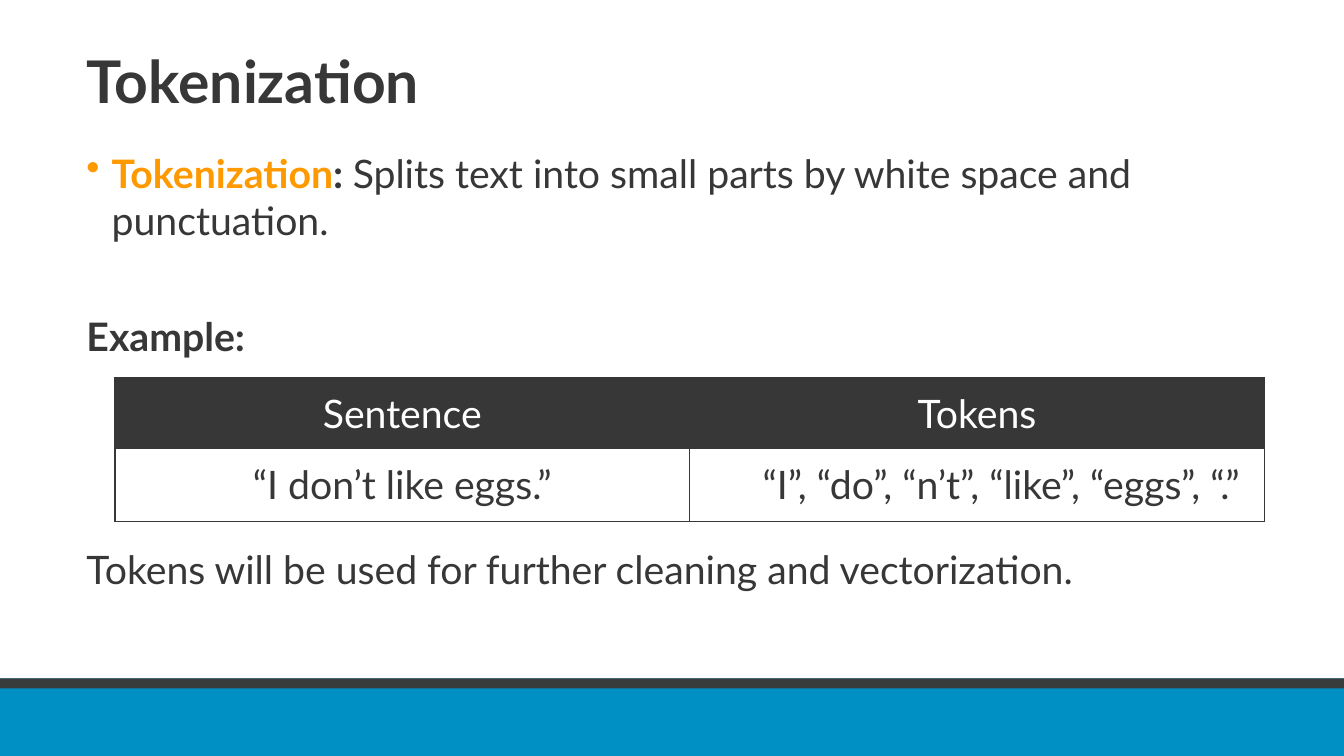
"""Build the Tokenization slide with its example table."""
import pptx
import pptx.dml.color
import pptx.enum.shapes
import pptx.enum.text
import pptx.oxml
import pptx.oxml.ns
import pptx.util

Inches = pptx.util.Inches
Pt = pptx.util.Pt
RGBColor = pptx.dml.color.RGBColor
MIDDLE = pptx.enum.text.MSO_ANCHOR.MIDDLE
TOP = pptx.enum.text.MSO_ANCHOR.TOP
CENTER = pptx.enum.text.PP_ALIGN.CENTER

INK = RGBColor(0x37, 0x37, 0x37)
ORANGE = RGBColor(0xFF, 0x99, 0x00)
BLUE = RGBColor(0x00, 0x90, 0xC3)
SLATE = RGBColor(0x38, 0x3D, 0x3B)
WHITE = RGBColor(0xFF, 0xFF, 0xFF)


class SlideBuilder:
    """Hold the text style and the current slide."""

    font = "Lato"
    size = 28

    def __init__(self, slide):
        self.slide = slide

    def band(self, top, height, color):
        """Draw a band across the full slide width."""
        band = self.slide.shapes.add_shape(
            pptx.enum.shapes.MSO_SHAPE.RECTANGLE,
            0, Inches(top), Inches(13.33), Inches(height))
        band.shadow.inherit = False
        band.fill.solid()
        band.fill.fore_color.rgb = color
        band.line.fill.background()

    def text_frame(self, left, top, width, height, anchor):
        """Add a wrapping text box and return its frame."""
        box = self.slide.shapes.add_textbox(
            Inches(left), Inches(top), Inches(width), Inches(height))
        box.text_frame.word_wrap = True
        box.text_frame.vertical_anchor = anchor
        return box.text_frame

    def span(self, para, text, color=INK, bold=False, size=size):
        """Add one styled run to a paragraph."""
        span = para.add_run()
        span.text = text
        span.font.name = self.font
        span.font.size = Pt(size)
        span.font.bold = bold
        span.font.color.rgb = color

    def indent(self, para, margin, first_line):
        """Set the left margin and first-line indent of a paragraph."""
        properties = para._p.get_or_add_pPr()
        properties.set("marL", str(Inches(margin)))
        properties.set("indent", str(Inches(first_line)))

    def bullet(self, para):
        """Give a paragraph a hanging bullet."""
        self.indent(para, 0.25, -0.25)
        mark = pptx.oxml.parse_xml(
            f'<a:buChar {pptx.oxml.ns.nsdecls("a")} char="•"/>')
        para._p.get_or_add_pPr().append(mark)

    def border(self, cell):
        """Draw a thin line on all four sides of a cell."""
        properties = cell._tc.get_or_add_tcPr()
        for position, side in enumerate(("lnL", "lnR", "lnT", "lnB")):
            properties.insert(position, pptx.oxml.parse_xml(
                f'<a:{side} {pptx.oxml.ns.nsdecls("a")} w="12700"><a:solidFill>'
                f'<a:srgbClr val="{INK}"/></a:solidFill></a:{side}>'))

    def table(self, left, top, column_width, row_heights, rows):
        """Add a table with a dark header row and return it."""
        columns = len(rows[0])
        table = self.slide.shapes.add_table(
            len(rows), columns, Inches(left), Inches(top),
            Inches(column_width * columns), Inches(sum(row_heights))).table
        for column in table.columns:
            column.width = Inches(column_width)
        for index, texts in enumerate(rows):
            table.rows[index].height = Inches(row_heights[index])
            fill, color = (INK, WHITE) if index == 0 else (WHITE, INK)
            for cell, text in zip(table.rows[index].cells, texts):
                cell.fill.solid()
                cell.fill.fore_color.rgb = fill
                cell.vertical_anchor = MIDDLE
                self.border(cell)
                para = cell.text_frame.paragraphs[0]
                para.alignment = CENTER
                self.span(para, text, color)
        return table


def main():
    """Build and save the deck."""
    deck = pptx.Presentation()
    deck.slide_width = Inches(13.33)
    deck.slide_height = Inches(7.5)
    page = SlideBuilder(deck.slides.add_slide(deck.slide_layouts[6]))

    page.band(6.73, 0.77, BLUE)
    page.band(6.73, 0.1, SLATE)

    title = page.text_frame(0.76, 0.32, 12.15, 1.08, MIDDLE).paragraphs[0]
    title.line_spacing = 0.8
    page.span(title, "Tokenization", bold=True, size=42)

    body = page.text_frame(0.76, 1.43, 11.9, 5.03, TOP)
    definition = body.paragraphs[0]
    page.bullet(definition)
    page.span(definition, "Tokenization", ORANGE, bold=True)
    page.span(definition, ": ", bold=True)
    page.span(definition, "Splits text into small parts by white space and punctuation.")

    example = body.add_paragraph()
    example.space_before = Pt(49.6)
    page.span(example, "Example:", bold=True)

    closing = body.add_paragraph()
    closing.space_before = Pt(132.8)
    page.span(closing, "Tokens will be used for further cleaning and vectorization.")

    table = page.table(1.14, 3.75, 5.7, (0.7, 0.72), (
        ("Sentence", "Tokens"),
        ("“I don’t like eggs.”", "“I”, “do”, “n’t”, “like”, “eggs”, “.”"),
    ))
    page.indent(table.cell(1, 1).text_frame.paragraphs[0], 0.98, -0.5)

    deck.save("out.pptx")


if __name__ == "__main__":
    main()
